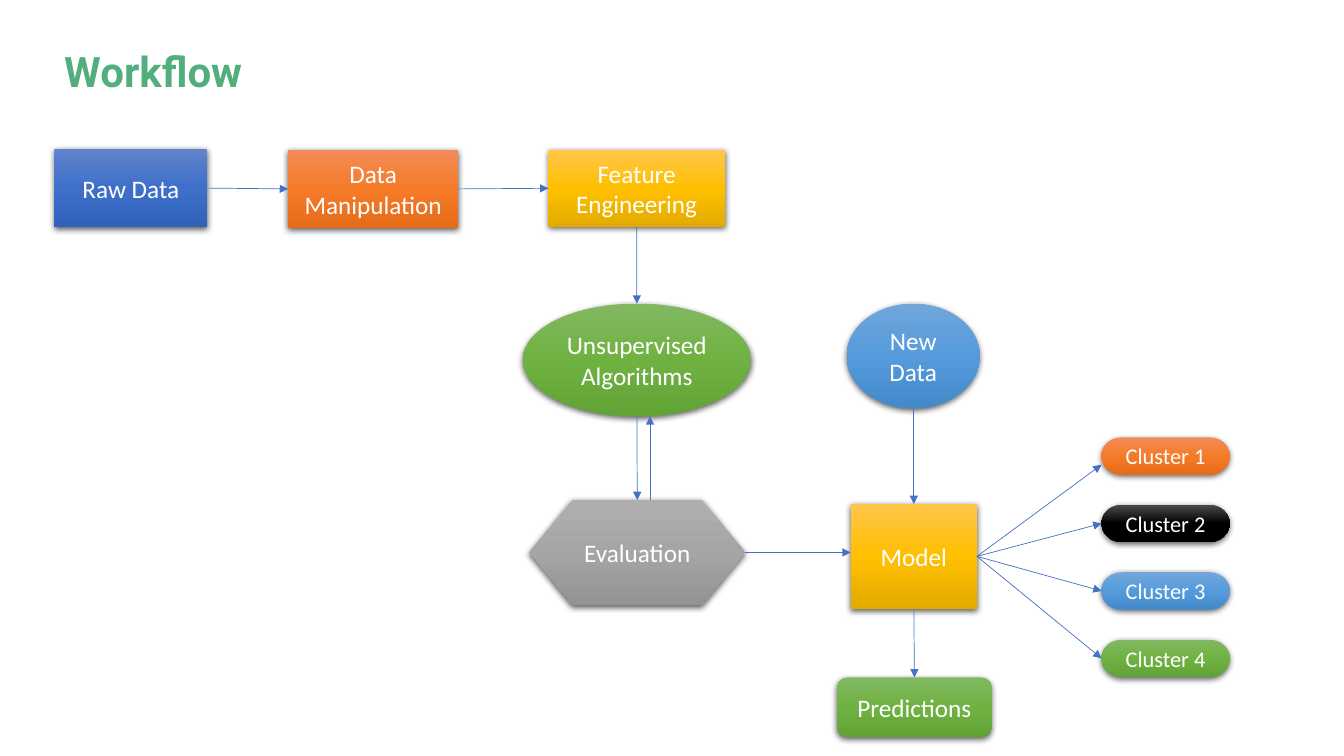
import copy

import pptx
import pptx.dml.color
import pptx.enum.shapes
import pptx.enum.text
import pptx.oxml
import pptx.oxml.ns
import pptx.util

Cm = pptx.util.Cm
Pt = pptx.util.Pt
rgb = pptx.dml.color.RGBColor.from_string
qn = pptx.oxml.ns.qn
SHAPE = pptx.enum.shapes.MSO_SHAPE
ALIGN = pptx.enum.text.PP_ALIGN
MIDDLE = pptx.enum.text.MSO_ANCHOR.MIDDLE
TOP, LEFT, BOTTOM, RIGHT = range(4)

BLUE = ("6183CB", "3E70CA", "3062BB")
ORANGE = ("F18C57", "F67B28", "E56C19")
GOLD = ("FFC64B", "FFC000", "E3AB00")
GREEN = ("81B861", "6FB242", "62A336")
GRAY = ("AFAFAF", "A5A5A5", "939393")
SKY = ("71A6DB", "559BDB", "448ACA")
BLACK = ("4B4B4B", "000000", "000000")

NS = 'xmlns:a="http://schemas.openxmlformats.org/drawingml/2006/main"'
SHADOW = (f'<a:outerShdw {NS} blurRad="57150" dist="19050" dir="5400000" algn="ctr" rotWithShape="0">'
          '<a:srgbClr val="000000"><a:alpha val="63000"/></a:srgbClr></a:outerShdw>')

deck = pptx.Presentation()
deck.slide_width, deck.slide_height = Cm(33.87), Cm(19.05)
slide = deck.slides.add_slide(deck.slide_layouts[6])


def add_node(preset, left, top, width, height, text, shades, size=18):
    """Add a shaded, shadowed step; each line of text is a paragraph."""
    node = slide.shapes.add_shape(preset, Cm(left), Cm(top), Cm(width), Cm(height))
    node.fill.gradient()
    node.fill.gradient_angle = 270
    stop_list = node._element.spPr.find(qn("a:gradFill")).find(qn("a:gsLst"))
    stop_list.append(copy.deepcopy(stop_list[0]))
    for stop, shade, position in zip(node.fill.gradient_stops, shades, (0, 0.5, 1)):
        stop.color.rgb = rgb(shade)
        stop.position = position
    node.line.fill.background()
    node.shadow.inherit = False
    node._element.spPr.find(qn("a:effectLst")).append(pptx.oxml.parse_xml(SHADOW))
    frame = node.text_frame
    frame.word_wrap = True
    frame.vertical_anchor = MIDDLE
    for index, line in enumerate(text.split("\n")):
        paragraph = frame.add_paragraph() if index else frame.paragraphs[0]
        paragraph.alignment = ALIGN.CENTER
        run = paragraph.add_run()
        run.text = line
        run.font.name = "Calibri"
        run.font.size = Pt(size)
        run.font.color.rgb = rgb("FFFFFF")
    return node


def add_arrow(start, end):
    """Join two ends, each a (node, side) pair or an (x, y) point in cm."""
    points = [(0, 0) if hasattr(spot[0], "text_frame") else spot for spot in (start, end)]
    (x1, y1), (x2, y2) = points
    arrow = slide.shapes.add_connector(
        pptx.enum.shapes.MSO_CONNECTOR.STRAIGHT, Cm(x1), Cm(y1), Cm(x2), Cm(y2))
    for spot, connect in ((start, arrow.begin_connect), (end, arrow.end_connect)):
        if hasattr(spot[0], "text_frame"):
            connect(*spot)
    arrow.line.color.rgb = rgb("4472C4")
    arrow.line.width = Pt(0.5)
    arrow.line._get_or_add_ln().append(pptx.oxml.parse_xml(f'<a:tailEnd {NS} type="triangle"/>'))
    arrow._element.spPr.append(pptx.oxml.parse_xml(f"<a:effectLst {NS}/>"))


title = slide.shapes.add_textbox(Cm(1.37), Cm(1.02), Cm(30.18), Cm(1.68)).text_frame
title.word_wrap = True
title.vertical_anchor = MIDDLE
title.paragraphs[0].line_spacing = 0.9
heading = title.paragraphs[0].add_run()
heading.text = "Workflow"
heading.font.name = "Roboto"
heading.font.size = Pt(30)
heading.font.bold = True
heading.font.color.rgb = rgb("52AE7C")

raw_data = add_node(SHAPE.RECTANGLE, 1.37, 3.76, 3.86, 1.96, "Raw Data", BLUE)
manipulation = add_node(SHAPE.RECTANGLE, 7.26, 3.78, 4.29, 1.96, "Data Manipulation", ORANGE)
features = add_node(SHAPE.RECTANGLE, 13.82, 3.78, 4.45, 1.93, "Feature Engineering", GOLD)
algorithms = add_node(SHAPE.OVAL, 13.18, 7.65, 5.74, 2.84, "Unsupervised\nAlgorithms", GREEN)
evaluation = add_node(SHAPE.FLOWCHART_PREPARATION, 13.34, 12.6, 5.44, 2.64, "Evaluation", GRAY)
model = add_node(SHAPE.RECTANGLE, 21.44, 12.7, 3.18, 2.64, "Model", GOLD)
new_data = add_node(SHAPE.OVAL, 21.34, 7.65, 3.35, 2.64, "New Data", SKY)
predictions = add_node(SHAPE.ROUNDED_RECTANGLE, 21.1, 17.07, 3.89, 1.5, "Predictions", GREEN)

add_arrow((raw_data, RIGHT), (manipulation, LEFT))
add_arrow((manipulation, RIGHT), (features, LEFT))
add_arrow((features, BOTTOM), (algorithms, TOP))
add_arrow((16.05, 10.49), (evaluation, TOP))
add_arrow((16.38, 12.6), (16.38, 10.49))
add_arrow((evaluation, RIGHT), (21.44, 13.92))
add_arrow((23.03, 10.29), (model, TOP))
add_arrow((model, BOTTOM), (predictions, TOP))

for index, shades in enumerate((ORANGE, BLACK, SKY, GREEN)):
    cluster = add_node(SHAPE.FLOWCHART_TERMINATOR, 27.76, 11.02 + 1.7 * index, 3.23, 0.94,
                       f"Cluster {index + 1}", shades, size=16)
    # The first arrow meets its cluster below the middle of the side.
    add_arrow((model, RIGHT), (cluster, LEFT) if index else (27.76, 11.71))

deck.save("out.pptx")
